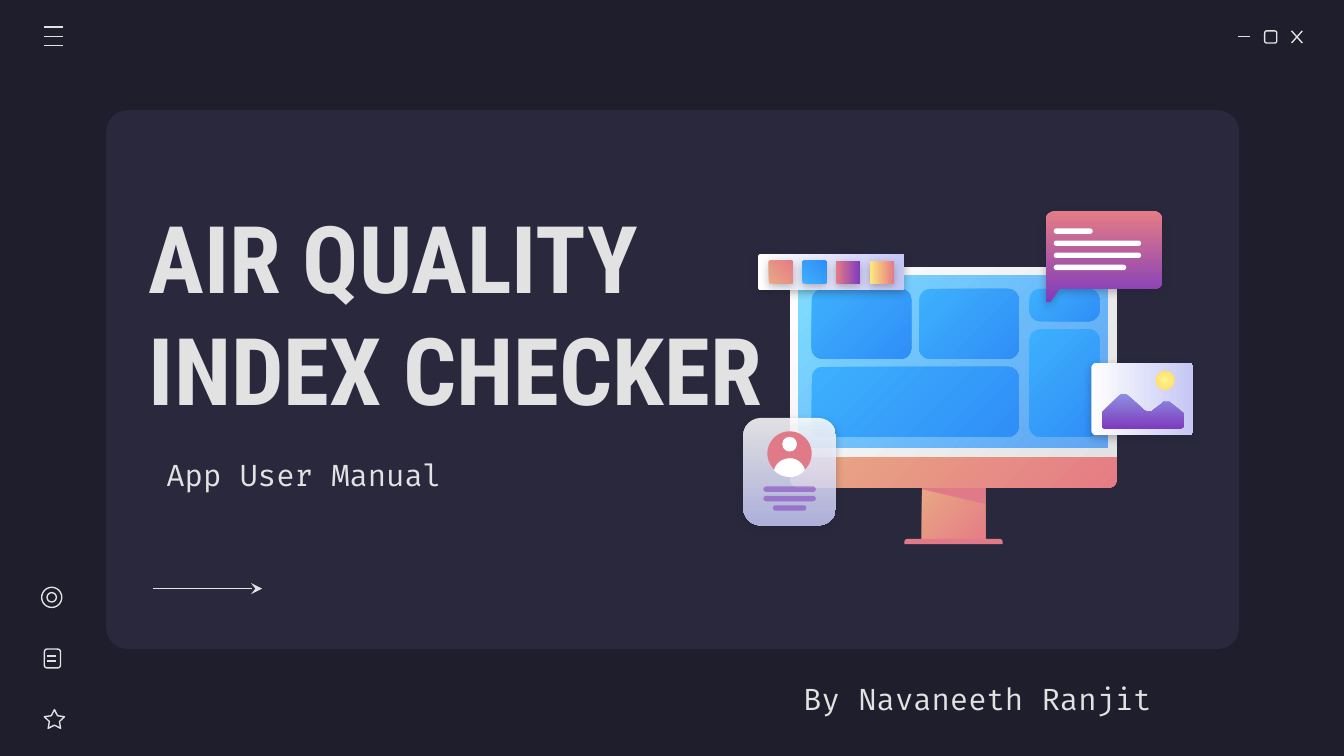
from lxml import etree
from pptx import Presentation
from pptx.dml.color import RGBColor
from pptx.enum.shapes import MSO_CONNECTOR, MSO_SHAPE
from pptx.enum.text import MSO_ANCHOR
from pptx.oxml.ns import qn
from pptx.util import Inches, Pt

STRAIGHT = MSO_CONNECTOR.STRAIGHT
RECT, ROUND = MSO_SHAPE.RECTANGLE, MSO_SHAPE.ROUNDED_RECTANGLE
ROUND_ENDS = MSO_SHAPE.ROUND_2_SAME_RECTANGLE
OVAL, STAR = MSO_SHAPE.OVAL, MSO_SHAPE.STAR_5_POINT
MIDDLE = MSO_ANCHOR.MIDDLE

LIGHT, DARK, PANEL = "E2E2E2", "1E1E2C", "29283D"
WHITE, ROSE, PURPLE = "FFFFFF", "E07A88", "7E3BBE"
# Gradients: start colour, end colour, clockwise angle
PEACH = ("E9A984", "E57C85", 45)
BLUE = ("3DB0FD", "308EF7", 45)
SUNSET = ("E57C85", PURPLE, 90)
LAVENDER = ("FFFFFF", "C5C7F4", 0)


def rgb(hex_color):
    return RGBColor.from_string(hex_color)


def set_alpha(shape, alphas):
    """Give each fill colour of the shape its opacity in percent."""
    for color, alpha in zip(shape._element.spPr.iter(qn("a:srgbClr")), alphas):
        etree.SubElement(color, qn("a:alpha"), val=str(alpha * 1000))


def style(shape, fill=None, line=None, shadow=False, alphas=()):
    if isinstance(fill, tuple):
        shape.fill.gradient()
        shape.fill.gradient_angle = -fill[2] % 360
        for stop, color in zip(shape.fill.gradient_stops, fill):
            stop.color.rgb = rgb(color)
    elif fill:
        shape.fill.solid()
        shape.fill.fore_color.rgb = rgb(fill)
    else:
        shape.fill.background()
    set_alpha(shape, alphas)
    if line:
        shape.line.color.rgb = rgb(line)
        shape.line.width = Pt(0.75)
    else:
        shape.line.fill.background()
    shape.shadow.inherit = False
    if shadow:
        effects = shape._element.spPr.find(qn("a:effectLst"))
        outer = etree.SubElement(effects, qn("a:outerShdw"), blurRad=str(Pt(4.5)),
                                 dist=str(Pt(1.5)), dir="5400000", rotWithShape="0")
        color = etree.SubElement(outer, qn("a:srgbClr"), val=DARK)
        etree.SubElement(color, qn("a:alpha"), val="30000")
    return shape


def add_preset(shapes, kind, x, y, w, h, fill=None, adj=(), **look):
    shape = shapes.add_shape(kind, Inches(x), Inches(y), Inches(w), Inches(h))
    for i, value in enumerate(adj):
        shape.adjustments[i] = value
    return style(shape, fill, **look)


def add_outline(shapes, x, y, start, segments, fill, **look):
    """Outline from (x, y) on; a segment is a corner or three Bezier points."""
    points = [start]
    for segment in segments:
        if len(segment) == 2:
            points.append(segment)
            continue
        p0, p1, p2, p3 = points[-1], segment[:2], segment[2:4], segment[4:]
        for t in (i / 12 for i in range(1, 13)):
            u = 1 - t
            points.append(tuple(u**3 * a + 3 * u * u * t * b + 3 * u * t * t * c + t**3 * d
                                for a, b, c, d in zip(p0, p1, p2, p3)))
    points = [(Inches(x + px), Inches(y + py)) for px, py in points]
    builder = shapes.build_freeform(*points[0])
    builder.add_line_segments(points[1:], close=True)
    return style(builder.convert_to_shape(), fill, **look)


def add_line(shapes, x1, y1, x2, y2):
    line = shapes.add_connector(STRAIGHT, Inches(x1), Inches(y1), Inches(x2), Inches(y2))
    line.line.color.rgb = rgb(LIGHT)
    line.line.width = Pt(0.75)
    etree.SubElement(line._element.spPr, qn("a:effectLst"))
    return line


def add_text(shapes, x, y, w, h, text, size, font, bold=False):
    frame = shapes.add_textbox(Inches(x), Inches(y), Inches(w), Inches(h)).text_frame
    frame.word_wrap = True
    frame.vertical_anchor = MIDDLE
    frame.margin_left = frame.margin_right = Inches(0.1)
    frame.margin_top = frame.margin_bottom = Inches(0.1)
    frame.text = text
    run_font = frame.paragraphs[0].runs[0].font
    run_font.size, run_font.name, run_font.bold = Pt(size), font, bold
    run_font.color.rgb = rgb(LIGHT)


def window_buttons(shapes, x, y):
    add_line(shapes, x, y + 0.04, x + 0.09, y + 0.04)
    add_preset(shapes, ROUND, x + 0.2, y, 0.09, 0.09, adj=[0.17], line=LIGHT)
    add_line(shapes, x + 0.4, y, x + 0.48, y + 0.09)
    add_line(shapes, x + 0.48, y, x + 0.4, y + 0.09)


def menu_icon(shapes, x, y):
    for row in range(3):
        add_line(shapes, x, y + row * 0.07, x + 0.14, y + row * 0.07)


def sidebar_icons(shapes, x, y):
    # Target
    add_preset(shapes, OVAL, x, y, 0.15, 0.15, line=LIGHT)
    add_preset(shapes, OVAL, x + 0.04, y + 0.04, 0.07, 0.07, line=LIGHT)
    # Note
    add_preset(shapes, ROUND, x + 0.02, y + 0.46, 0.12, 0.14, adj=[0.17], line=LIGHT)
    for dy in (0.51, 0.55):
        add_line(shapes, x + 0.04, y + dy, x + 0.11, y + dy)
    # Star
    add_preset(shapes, STAR, x + 0.02, y + 0.91, 0.15, 0.14, adj=[0.25], line=LIGHT)


def title_block(shapes, x, y):
    add_text(shapes, x + 0.13, y + 1.86, 3.24, 0.46, "App User Manual", 16, "Fira Code")
    add_text(shapes, x, y, 5.14, 1.76, "AIR QUALITY INDEX CHECKER", 50, "Roboto Condensed", True)
    arrow = add_line(shapes, x + 0.13, y + 2.94, x + 0.94, y + 2.94)
    etree.SubElement(arrow.line._get_or_add_ln(), qn("a:tailEnd"), type="stealth")


def monitor(shapes, x, y):
    # Stand, foot and the shade below the screen
    add_preset(shapes, RECT, x + 0.98, y + 1.62, 0.47, 0.43, PEACH)
    add_preset(shapes, ROUND_ENDS, x + 0.85, y + 2.02, 0.73, 0.04, ROSE, [0.5, 0])
    add_outline(shapes, x + 0.98, y + 1.62, (0, 0),
                [(0, 0.03), (0.47, 0.14), (0.47, 0)], ROSE)
    # Chin, frame and screen
    add_preset(shapes, ROUND_ENDS, x, y + 1.4, 2.43, 0.24, PEACH, [0, 0.26])
    add_preset(shapes, ROUND_ENDS, x, y, 2.43, 1.41, (WHITE, LIGHT, 45), [0.04, 0])
    add_preset(shapes, RECT, x + 0.06, y + 0.06, 2.3, 1.28,
               ("80DFFF", "318FFA", 45), alphas=(100, 72))
    # Tiles
    tiles = [(0.16, 0.16, 0.74, 0.52), (0.16, 0.74, 1.54, 0.52), (0.96, 0.16, 0.74, 0.52),
             (1.78, 0.16, 0.52, 0.24), (1.78, 0.46, 0.52, 0.8)]
    for dx, dy, w, h in tiles:
        add_preset(shapes, ROUND, x + dx, y + dy, w, h, BLUE, [0.08 / min(w, h)])


def speech_bubble(shapes, x, y):
    add_outline(shapes, x, y, (0.07, 0), [
        (0.03, 0, 0, 0.03, 0, 0.07), (0, 0.67), (0, 0.68, 0.01, 0.68, 0.02, 0.68),
        (0.02, 0.68, 0.03, 0.68, 0.03, 0.68), (0.1, 0.58), (0.81, 0.58),
        (0.84, 0.58, 0.87, 0.55, 0.87, 0.52), (0.87, 0.07),
        (0.87, 0.03, 0.84, 0, 0.81, 0)], SUNSET, shadow=True)
    for row, w in enumerate((0.29, 0.65, 0.65, 0.54)):
        add_preset(shapes, ROUND, x + 0.06, y + 0.13 + row * 0.09, w, 0.04, WHITE, [0.5])


def profile_card(shapes, x, y):
    add_preset(shapes, ROUND, x, y, 0.69, 0.8, (WHITE, "C5C7F4", 90), [0.19],
               shadow=True, alphas=(86, 86))
    # Avatar
    add_preset(shapes, OVAL, x + 0.18, y + 0.1, 0.33, 0.33, ROSE)
    add_preset(shapes, OVAL, x + 0.29, y + 0.14, 0.11, 0.11, WHITE)
    add_outline(shapes, x + 0.23, y + 0.3, (0.12, 0), [
        (0.06, 0, 0.01, 0.04, 0, 0.09), (0.03, 0.12, 0.07, 0.14, 0.12, 0.14),
        (0.16, 0.14, 0.2, 0.12, 0.23, 0.09), (0.22, 0.04, 0.17, 0, 0.12, 0)], WHITE)
    # Details
    for row, (dx, w) in enumerate([(0.15, 0.39), (0.15, 0.39), (0.22, 0.25)]):
        add_preset(shapes, ROUND, x + dx, y + 0.51 + row * 0.07, w, 0.04,
                   PURPLE, [0.5], alphas=[54])


def landscape_card(shapes, x, y):
    add_preset(shapes, ROUND, x, y, 0.76, 0.54, LAVENDER, [0.07], shadow=True)
    # Hills
    add_outline(shapes, x + 0.08, y + 0.23, (0.16, 0), [
        (0.15, 0, 0.14, 0, 0.13, 0.01), (0.01, 0.13), (0, 0.14, 0, 0.14, 0, 0.15), (0, 0.23),
        (0, 0.25, 0.01, 0.26, 0.03, 0.26), (0.57, 0.26), (0.59, 0.26, 0.61, 0.25, 0.61, 0.23),
        (0.61, 0.16), (0.61, 0.15, 0.6, 0.14, 0.6, 0.14), (0.5, 0.06),
        (0.49, 0.06, 0.48, 0.06, 0.47, 0.06), (0.46, 0.06, 0.45, 0.06, 0.45, 0.07),
        (0.37, 0.13), (0.36, 0.13, 0.35, 0.13, 0.34, 0.13),
        (0.33, 0.13, 0.32, 0.13, 0.31, 0.12), (0.19, 0.01),
        (0.18, 0, 0.17, 0, 0.16, 0)], ("8D90E1", PURPLE, 90))
    # Sun with a radial glow
    sun = add_preset(shapes, OVAL, x + 0.48, y + 0.06, 0.14, 0.14, ("FFF68E", "FFD966", 0))
    gradient = sun._element.spPr.find(qn("a:gradFill"))
    gradient.remove(gradient.find(qn("a:lin")))
    glow = etree.SubElement(gradient, qn("a:path"), path="circle")
    etree.SubElement(glow, qn("a:fillToRect"), l="50000", t="50000", r="50000", b="50000")


def palette_bar(shapes, x, y):
    add_preset(shapes, ROUND, x, y, 1.09, 0.27, LAVENDER, [0.07], shadow=True)
    swatches = [PEACH[:2] + (315,), BLUE[:2] + (315,), SUNSET[:2] + (0,), ("FFEA7D", "E57C85", 0)]
    for column, colors in enumerate(swatches):
        add_preset(shapes, ROUND, x + 0.08 + column * 0.25, y + 0.05, 0.18, 0.17,
                   colors, [0.07], shadow=True)


def main():
    deck = Presentation()
    # Widescreen, 16:9
    deck.slide_width, deck.slide_height = Inches(10), Inches(10) * 9 // 16
    slide = deck.slides.add_slide(deck.slide_layouts[6])
    slide.background.fill.solid()
    slide.background.fill.fore_color.rgb = rgb(DARK)
    add_preset(slide.shapes, ROUND, 0.79, 0.82, 8.43, 4.01, PANEL, [0.04])
    title_block(slide.shapes, 1.01, 1.44)
    # Each icon set and illustration part is a group of its own
    for draw, x, y in [(window_buttons, 9.21, 0.23), (monitor, 5.88, 1.99),
                       (speech_bubble, 7.78, 1.57), (menu_icon, 0.33, 0.2),
                       (profile_card, 5.53, 3.11), (landscape_card, 8.12, 2.7),
                       (palette_bar, 5.64, 1.89), (sidebar_icons, 0.31, 4.37)]:
        draw(slide.shapes.add_group_shape().shapes, x, y)
    add_text(slide.shapes, 5.88, 4.97, 3.24, 0.46, "By Navaneeth Ranjit", 16, "Fira Code")
    deck.save("out.pptx")


if __name__ == "__main__":
    main()
